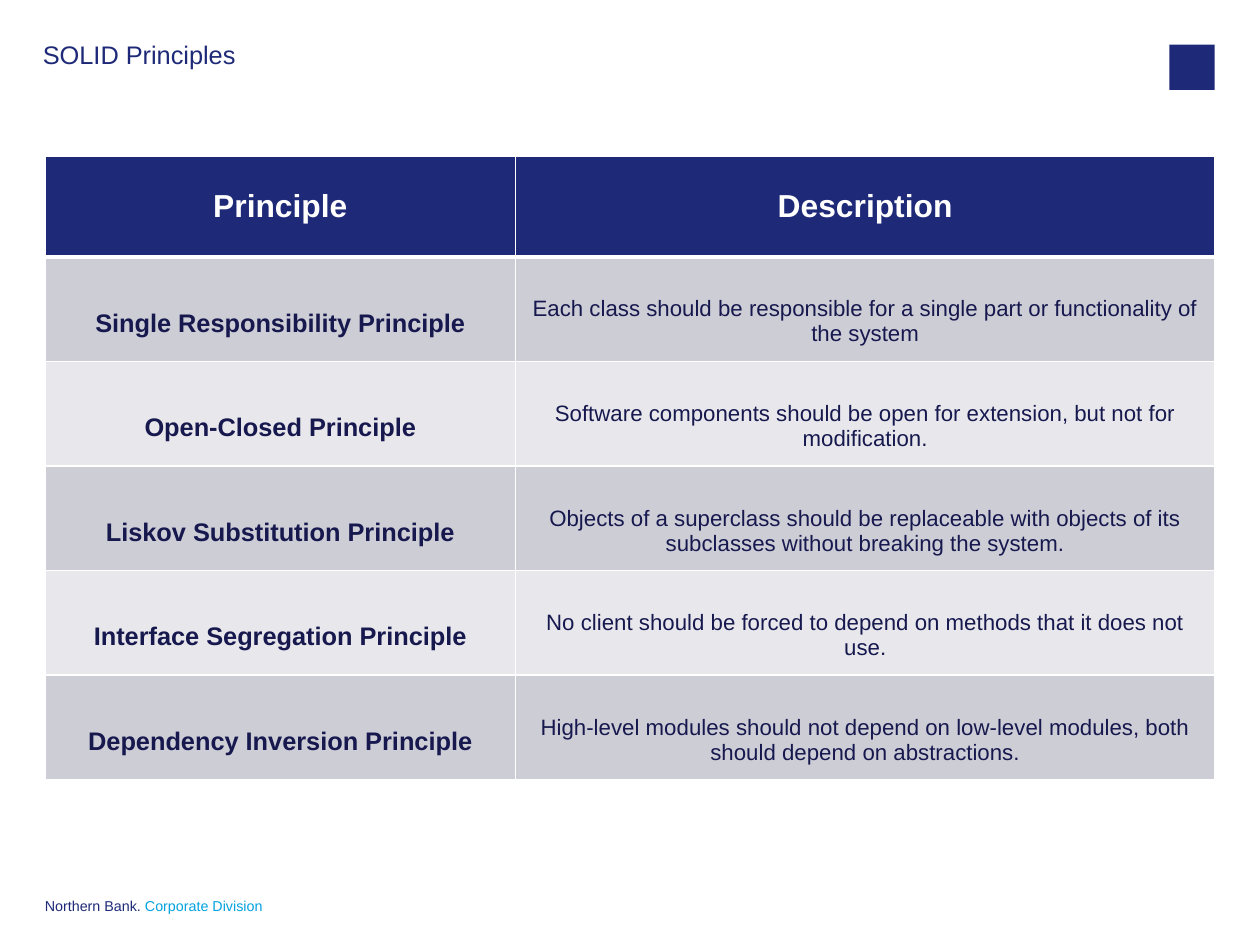
import pptx
import pptx.dml.color
import pptx.enum.shapes
import pptx.enum.text
import pptx.oxml
import pptx.oxml.ns
import pptx.util

Pt = pptx.util.Pt
NAVY, INK, CYAN, WHITE = "1E2A78", "16184E", "00A3E0", "FFFFFF"
BANDS = ("CDCDD6", "E8E8EC")
LEFT, CONTENT_WIDTH = 28.3, 736.8

PRINCIPLES = [
    ("Single Responsibility Principle",
     "Each class should be responsible for a single part or functionality of the system"),
    ("Open-Closed Principle",
     "Software components should be open for extension, but not for modification."),
    ("Liskov Substitution Principle",
     "Objects of a superclass should be replaceable with objects of its subclasses "
     "without breaking the system."),
    ("Interface Segregation Principle",
     "No client should be forced to depend on methods that it does not use."),
    ("Dependency Inversion Principle",
     "High-level modules should not depend on low-level modules, both should depend "
     "on abstractions."),
]


def color(value):
    return pptx.dml.color.RGBColor.from_string(value)


def write(paragraph, text, size, fill, bold=False, align=None, spacing=None):
    run = paragraph.add_run()
    run.text = text
    run.font.name = "Arial"
    run.font.size = Pt(size)
    run.font.bold = bold
    run.font.color.rgb = color(fill)
    if align is not None:
        paragraph.alignment = align
    if spacing is not None:
        paragraph.line_spacing = spacing


def text_line(slide, left, top, width, height):
    """Add a text box without margins and return its paragraph."""
    frame = slide.shapes.add_textbox(Pt(left), Pt(top), Pt(width), Pt(height)).text_frame
    frame.word_wrap = True
    frame.margin_left = frame.margin_right = frame.margin_top = frame.margin_bottom = 0
    return frame.paragraphs[0]


def add_header(slide, left, top, width, height):
    title = text_line(slide, left - 1.3, top - 1.5, width - 55, height)
    write(title, "SOLID Principles", size=16, fill=NAVY, spacing=0.9)

    # Plain emblem in the right corner
    side = 28.4
    emblem = slide.shapes.add_shape(pptx.enum.shapes.MSO_SHAPE.RECTANGLE,
                                    Pt(left + width - side), Pt(top), Pt(side), Pt(side))
    emblem.shadow.inherit = False
    emblem.fill.solid()
    emblem.fill.fore_color.rgb = color(NAVY)
    emblem.line.fill.background()


def set_borders(cell, top, bottom):
    properties = cell._tc.get_or_add_tcPr()
    for side, weight in (("L", 1), ("R", 1), ("T", top), ("B", bottom)):
        properties.append(pptx.oxml.parse_xml(
            f'<a:ln{side} {pptx.oxml.ns.nsdecls("a")} w="{Pt(weight)}"><a:solidFill>'
            f'<a:srgbClr val="{WHITE}"/></a:solidFill></a:ln{side}>'))


def fill_cell(cell, text, background, top=1, bottom=1, drop=0, **text_format):
    """Fill a cell; drop lowers its centred text by widening the top margin."""
    set_borders(cell, top, bottom)
    cell.fill.solid()
    cell.fill.fore_color.rgb = color(background)
    cell.vertical_anchor = pptx.enum.text.MSO_ANCHOR.MIDDLE
    cell.margin_top = Pt(3.6 + drop)
    write(cell.text_frame.paragraphs[0], text,
          align=pptx.enum.text.PP_ALIGN.CENTER, **text_format)


def add_principles(slide, left, top, width, height):
    header_height, name_width = 63.2, 296.3
    row_height = (height - header_height) / len(PRINCIPLES)
    table = slide.shapes.add_table(len(PRINCIPLES) + 1, 2, Pt(left), Pt(top),
                                   Pt(width), Pt(height)).table
    table.columns[0].width = Pt(name_width)
    table.columns[1].width = Pt(width - name_width)

    # Header row
    table.rows[0].height = Pt(header_height)
    for column, heading in enumerate(("Principle", "Description")):
        fill_cell(table.cell(0, column), heading, NAVY, bottom=3,
                  size=20, fill=WHITE, bold=True)

    # Banded rows
    for row, (principle, description) in enumerate(PRINCIPLES, start=1):
        table.rows[row].height = Pt(row_height)
        band = BANDS[(row - 1) % 2]
        top_border = 3 if row == 1 else 1
        fill_cell(table.cell(row, 0), principle, band, top=top_border, drop=18,
                  size=16, fill=INK, bold=True)
        fill_cell(table.cell(row, 1), description, band, top=top_border, drop=15.8,
                  size=14, fill=INK)


def add_footer(slide, left, top, width, height):
    footer = text_line(slide, left, top, width, height)
    write(footer, "Northern Bank. ", size=9, fill=NAVY, spacing=Pt(9))
    write(footer, "Corporate Division", size=9, fill=CYAN)


def main():
    presentation = pptx.Presentation()
    presentation.slide_width = Pt(793.7)
    presentation.slide_height = Pt(595.28)
    slide = presentation.slides.add_slide(presentation.slide_layouts[6])
    add_header(slide, LEFT, 28.2, CONTENT_WIDTH, 44)
    add_principles(slide, LEFT + 0.2, 98.6, CONTENT_WIDTH, 392.7)
    add_footer(slide, LEFT, 567, 158, 14.4)
    presentation.save("out.pptx")


if __name__ == "__main__":
    main()
